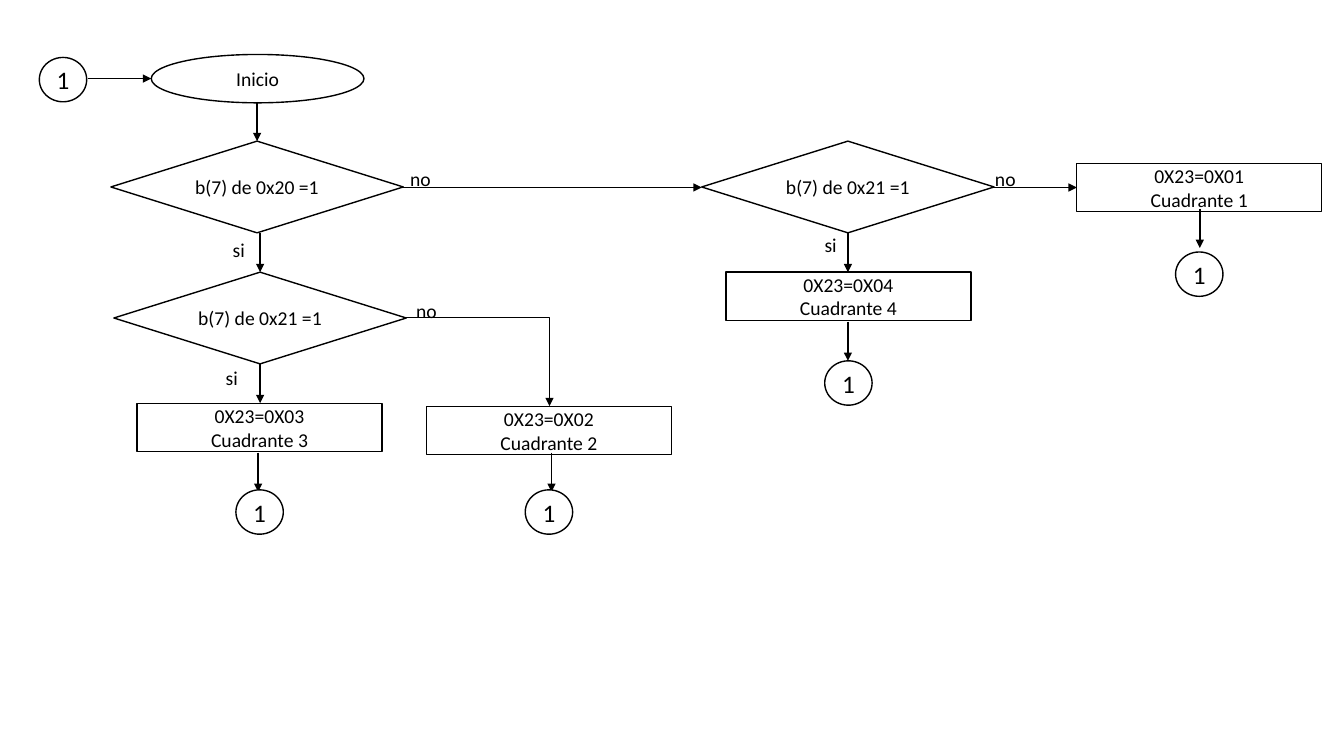
import pptx
import pptx.util
import pptx.dml.color
import pptx.enum.shapes
import pptx.enum.text
import pptx.oxml.ns
from lxml import etree

BLACK = pptx.dml.color.RGBColor(0, 0, 0)
WHITE = pptx.dml.color.RGBColor(255, 255, 255)
FONT = "Calibri"
SHAPE = pptx.enum.shapes.MSO_SHAPE
LINE = pptx.enum.shapes.MSO_CONNECTOR
PX = 9144  # 100 px to the inch

DECISION_SIZE = (290, 91)
RESULT_SIZE = (243, 48)
CIRCLE_SIZE = (47, 44)
LABEL_SIZE = (67, 34)


def emu(*lengths):
    return [pptx.util.Emu(n * PX) for n in lengths]


def add_text(tf, lines, size, align):
    for i, line in enumerate(lines):
        p = tf.paragraphs[0] if i == 0 else tf.add_paragraph()
        p.alignment = align
        r = p.add_run()
        r.text = line
        r.font.size = pptx.util.Pt(size)
        r.font.name = FONT
        r.font.color.rgb = BLACK


def add_node(s, kind, pos, dims, lines, size=14):
    sp = s.shapes.add_shape(kind, *emu(*pos, *dims))
    sp.shadow.inherit = False
    sp.fill.solid()
    sp.fill.fore_color.rgb = WHITE
    sp.line.color.rgb = BLACK
    sp.line.width = pptx.util.Pt(1)
    tf = sp.text_frame
    tf.word_wrap = True
    tf.vertical_anchor = pptx.enum.text.MSO_ANCHOR.MIDDLE
    add_text(tf, lines, size, pptx.enum.text.PP_ALIGN.CENTER)


def add_label(s, text, x, y):
    sp = s.shapes.add_textbox(*emu(x, y, *LABEL_SIZE))
    tf = sp.text_frame
    tf.word_wrap = True
    tf.auto_size = pptx.enum.text.MSO_AUTO_SIZE.SHAPE_TO_FIT_TEXT
    add_text(tf, [text], 14, pptx.enum.text.PP_ALIGN.LEFT)


def add_arrow(s, x1, y1, x2, y2):
    """Straight arrow, or one right-angle bend when both ends differ."""
    bent = x1 != x2 and y1 != y2
    kind = LINE.ELBOW if bent else LINE.STRAIGHT
    cx = s.shapes.add_connector(kind, *emu(x1, y1, x2, y2))
    cx.line.color.rgb = BLACK
    cx.line.width = pptx.util.Pt(1)
    qn = pptx.oxml.ns.qn
    sppr = cx._element.spPr
    if bent:
        sppr.find(qn("a:prstGeom")).set("prst", "bentConnector2")
    etree.SubElement(sppr.find(qn("a:ln")), qn("a:tailEnd"), type="triangle")
    etree.SubElement(sppr, qn("a:effectLst"))


def main():
    prs = pptx.Presentation()
    prs.slide_width, prs.slide_height = emu(1333, 750)
    s = prs.slides.add_slide(prs.slide_layouts[6])

    # Start
    add_node(s, SHAPE.OVAL, (150, 54), (211, 48), ["Inicio"])

    # Decisions
    for x, y, register in [(110, 140, "0x20"), (113, 270, "0x21"), (696, 140, "0x21")]:
        add_node(s, SHAPE.FLOWCHART_DECISION, (x, y), DECISION_SIZE,
                 [f"b(7) de {register} =1"])

    # Quadrant results
    for x, y, n in [(136, 400, 3), (423, 403, 2), (720, 270, 4), (1068, 162, 1)]:
        add_node(s, SHAPE.RECTANGLE, (x, y), RESULT_SIZE,
                 [f"0X23=0X0{n}", f"Cuadrante {n}"])

    # Downward arrows, all of equal length
    for x, y in [(255, 101), (258, 231), (258, 361), (841, 231),
                 (256, 449), (547, 449), (841, 319), (1190, 207)]:
        add_arrow(s, x, y, x, y + 39)

    # Arrows to the right
    for ends in [(87, 78, 150, 78), (400, 186, 696, 186),
                 (986, 186, 1068, 186), (403, 315, 545, 403)]:
        add_arrow(s, *ends)

    # Branch labels
    for text, x, y in [("si", 221, 231), ("si", 214, 358), ("si", 808, 226),
                       ("no", 397, 161), ("no", 977, 161), ("no", 403, 292)]:
        add_label(s, text, x, y)

    # Jump circles
    for pos in [(234, 486), (521, 486), (818, 358), (1166, 250), (39, 57)]:
        add_node(s, SHAPE.OVAL, pos, CIRCLE_SIZE, ["1"], 18)

    prs.save("out.pptx")


if __name__ == "__main__":
    main()
